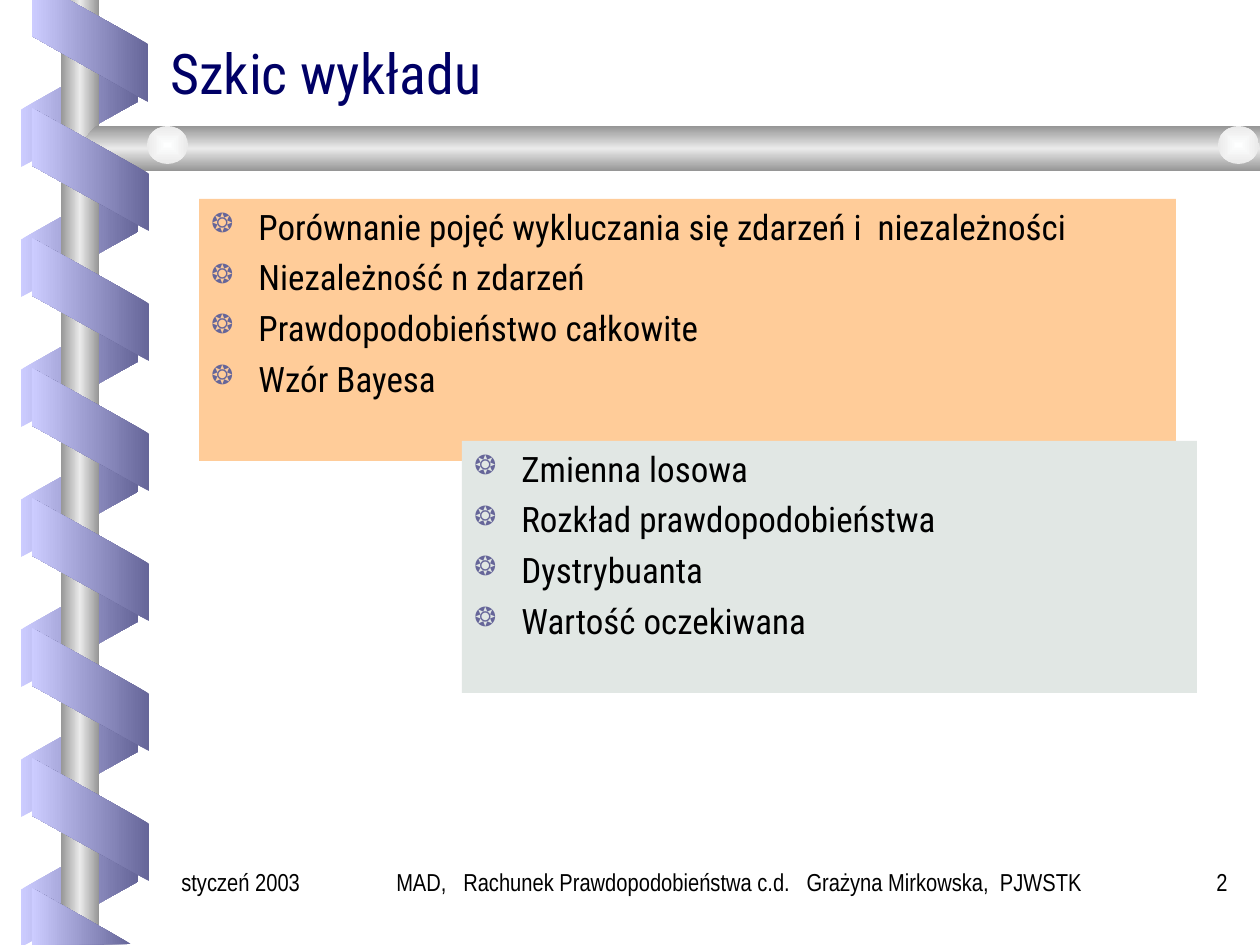
from pptx import Presentation
from pptx.dml.color import RGBColor as RGB
from pptx.enum.shapes import MSO_SHAPE as Kind
from pptx.enum.text import MSO_ANCHOR as Anchor, PP_ALIGN as Align
from pptx.oxml import parse_xml
from pptx.oxml.ns import nsdecls, qn
from pptx.util import Pt

PX = 914400 / 126


class Theme:
    navy, black = "000066", "000000"
    peach, mist = "FFCC99", "E1E7E4"
    dark, light = "666699", "CCCCFF"
    steel = ["969696", "EAEAEA", "969696"]
    pearl = ["FEFFFF", "EAEAEA"]
    head, body, foot = 32, 20, 14
    sans, thin = "Roboto Condensed", "Arial Narrow"


def paint(shape, tones, angle=None):
    shape.shadow.inherit = False
    shape.line.fill.background()
    last = len(tones) - 1
    stops = "".join(
        f'<a:gs pos="{100000 * i // last}"><a:srgbClr val="{tone}"/></a:gs>'
        for i, tone in enumerate(tones))
    if angle is None:
        way = '<a:path path="rect"><a:fillToRect l="50000" t="50000" r="50000" b="50000"/></a:path>'
    else:
        way = f'<a:lin ang="{angle * 60000}" scaled="0"/>'
    shape.fill.background()
    props = shape.element.spPr
    props.replace(props.find(qn("a:noFill")), parse_xml(
        f'<a:gradFill {nsdecls("a")} rotWithShape="0"><a:gsLst>{stops}</a:gsLst>{way}</a:gradFill>'))


def write(shape, lines, size, face, tone, align=Align.LEFT, anchor=Anchor.TOP, lead=None, mark=None):
    frame = shape.text_frame
    frame.word_wrap = True
    frame.vertical_anchor = anchor
    for i, line in enumerate(lines):
        para = frame.add_paragraph() if i else frame.paragraphs[0]
        if mark:
            props = para._p.get_or_add_pPr()
            props.set("marL", str(int(47 * PX)))
            props.set("indent", str(int(-47 * PX)))
            for tag in (f'<a:buClr {nsdecls("a")}><a:srgbClr val="{Theme.dark}"/></a:buClr>',
                        f'<a:buSzPct {nsdecls("a")} val="75000"/>',
                        f'<a:buChar {nsdecls("a")} char="{mark}"/>'):
                props.append(parse_xml(tag))
        para.alignment = align
        if lead:
            para.line_spacing = lead
        if i:
            para.space_before = Pt(5)
        run = para.add_run()
        run.text = line
        run.font.size = Pt(size)
        run.font.name = face
        run.font.color.rgb = RGB.from_string(tone)


deck = Presentation()
deck.slide_width, deck.slide_height = int(1260 * PX), int(945 * PX)
slide = deck.slides.add_slide(deck.slide_layouts[6])
shapes = slide.shapes

back = (18, 47, 7, 90, [Theme.light, Theme.dark])
front = (29, 111, 6, 270, [Theme.dark, Theme.light])
bar = [(1260, 126), (96, 126), (76, 149), (96, 171), (1260, 171)]
top = [(32, 0), (32, 36), (148, 102), (148, 44), (69, 0)]
end = [(131, 944), (32, 888), (32, 945)]

for band in (back, front):
    left, start, count, turn, tones = band
    for i in range(count):
        fold = shapes.add_shape(Kind.PARALLELOGRAM, int(left * PX), int((start + 130 * i) * PX),
                                int(123 * PX), int(117 * PX))
        fold.adjustments[0] = 0.56
        fold.rotation = turn
        if band is back:
            fold.element.spPr.xfrm.set("flipH", "1")
        paint(fold, tones, 180)

    if band is back:
        pole = shapes.add_shape(Kind.RECTANGLE, int(61 * PX), 0, int(38 * PX), int(945 * PX))
        paint(pole, Theme.steel, 180)
        outlines = [(bar, Theme.steel, 90)]
    else:
        outlines = [(top, tones, 180), (end, tones, 180)]
    for points, hues, angle in outlines:
        pen = shapes.build_freeform(*points[0], scale=PX)
        pen.add_line_segments(points[1:], close=True)
        paint(pen.convert_to_shape(), hues, angle)
    if band is back:
        for x in (147, 1218):
            knob = shapes.add_shape(Kind.OVAL, int(x * PX), int(126 * PX), int(41 * PX), int(38 * PX))
            paint(knob, Theme.pearl)

title = shapes.add_textbox(int(158 * PX), int(31 * PX), int(1071 * PX), int(80 * PX))
write(title, ["Szkic wykładu"], Theme.head, Theme.sans, Theme.navy, anchor=Anchor.BOTTOM, lead=0.8)

panels = [
    (199, 199, 977, 262, Theme.peach, [
        "Porównanie pojęć wykluczania się zdarzeń i  niezależności",
        "Niezależność n zdarzeń",
        "Prawdopodobieństwo całkowite",
        "Wzór Bayesa"]),
    (462, 441, 735, 252, Theme.mist, [
        "Zmienna losowa",
        "Rozkład prawdopodobieństwa",
        "Dystrybuanta",
        "Wartość oczekiwana"]),
]
for x, y, w, h, tone, lines in panels:
    panel = shapes.add_shape(Kind.RECTANGLE, int(x * PX), int(y * PX), int(w * PX), int(h * PX))
    panel.shadow.inherit = False
    panel.line.fill.background()
    panel.fill.solid()
    panel.fill.fore_color.rgb = RGB.from_string(tone)
    write(panel, lines, Theme.body, Theme.sans, Theme.black, mark="❂")

notes = [
    (325, 829, "MAD,   Rachunek Prawdopodobieństwa c.d.   Grażyna Mirkowska,  PJWSTK", Align.CENTER),
    (1134, 106, "2", Align.RIGHT),
    (169, 178, "styczeń 2003", Align.LEFT),
]
for x, w, text, align in notes:
    note = shapes.add_textbox(int(x * PX), int(861 * PX), int(w * PX), int(63 * PX))
    write(note, [text], Theme.foot, Theme.thin, Theme.black, align)

deck.save("out.pptx")
